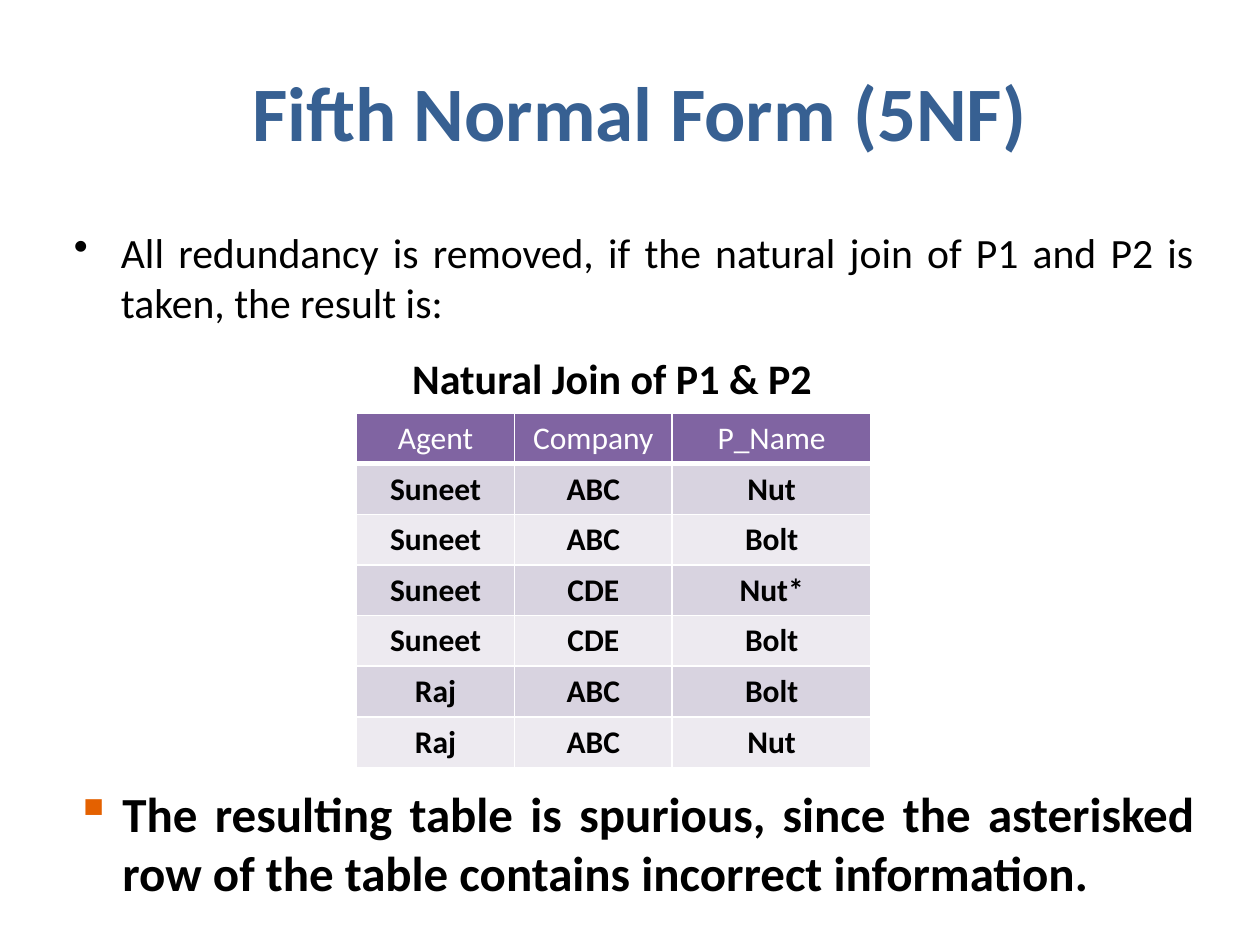
import pptx
import pptx.dml.color
import pptx.enum.text
import pptx.oxml.ns
import pptx.util
from lxml import etree

Cm = pptx.util.Cm
Pt = pptx.util.Pt
RGBColor = pptx.dml.color.RGBColor
ALIGN = pptx.enum.text.PP_ALIGN
ANCHOR = pptx.enum.text.MSO_ANCHOR
qn = pptx.oxml.ns.qn

BLUE = RGBColor(0x37, 0x60, 0x92)
BLACK = RGBColor(0, 0, 0)
WHITE = RGBColor(0xFF, 0xFF, 0xFF)
ORANGE = RGBColor(0xE4, 0x61, 0x00)
PURPLE = RGBColor(0x80, 0x64, 0xA2)
LILAC = RGBColor(0xD8, 0xD3, 0xE0)
PALE_LILAC = RGBColor(0xED, 0xEA, 0xF0)


def write(paragraph, text, size, color, bold, align):
    paragraph.alignment = align
    run = paragraph.add_run()
    run.text = text
    run.font.name = "Calibri"
    run.font.size = Pt(size)
    run.font.bold = bold
    run.font.color.rgb = color


prs = pptx.Presentation()
prs.slide_width = Cm(25.4)
prs.slide_height = Cm(19.05)
slide = prs.slides.add_slide(prs.slide_layouts[6])

passages = [
    ("Fifth Normal Form (5NF)", (1.47, 0.64, 22.86, 3.18),
     44, BLUE, True, ALIGN.CENTER, ANCHOR.MIDDLE, None, None),
    ("All redundancy is removed, if the natural join of P1 and P2 is taken, the result is:",
     (1.24, 4.45, 23.06, 1.9),
     23.8, BLACK, False, ALIGN.JUSTIFY, ANCHOR.TOP, "•", BLACK),
    ("Natural Join of P1 & P2", (7.26, 6.99, 10.16, 1.32),
     24, BLACK, True, ALIGN.CENTER, ANCHOR.TOP, None, None),
    ("The resulting table is spurious, since the asterisked row of the table "
     "contains incorrect information.", (1.27, 15.67, 23.06, 1.9),
     28, BLACK, True, ALIGN.JUSTIFY, ANCHOR.TOP, "▪", ORANGE),
]
for text, place, size, color, bold, align, anchor, bullet, bullet_color in passages:
    frame = slide.shapes.add_textbox(*[Cm(length) for length in place]).text_frame
    frame.word_wrap = True
    frame.vertical_anchor = anchor
    paragraph = frame.paragraphs[0]
    write(paragraph, text, size, color, bold, align)
    if bullet:
        properties = paragraph._p.get_or_add_pPr()
        properties.set("marL", str(Cm(0.95)))
        properties.set("indent", str(-Cm(0.95)))
        tint = etree.SubElement(properties, qn("a:buClr"))
        etree.SubElement(tint, qn("a:srgbClr"), val=str(bullet_color))
        etree.SubElement(properties, qn("a:buChar"), char=bullet)

join_rows = [
    ("Agent", "Company", "P_Name"),
    ("Suneet", "ABC", "Nut"),
    ("Suneet", "ABC", "Bolt"),
    ("Suneet", "CDE", "Nut*"),
    ("Suneet", "CDE", "Bolt"),
    ("Raj", "ABC", "Bolt"),
    ("Raj", "ABC", "Nut"),
]
column_widths = [3.18, 3.18, 4.01]
row_height = 1.02
join_table = slide.shapes.add_table(
    len(join_rows), len(column_widths), Cm(7.19), Cm(8.33),
    Cm(sum(column_widths)), Cm(row_height * len(join_rows))).table
for column, width in zip(join_table.columns, column_widths):
    column.width = Cm(width)

for r, values in enumerate(join_rows):
    join_table.rows[r].height = Cm(row_height)
    header = r == 0
    fill = PURPLE if header else (LILAC if r % 2 else PALE_LILAC)
    for c, value in enumerate(values):
        cell = join_table.cell(r, c)
        write(cell.text_frame.paragraphs[0], value, 18,
              WHITE if header else BLACK, not header, ALIGN.CENTER)
        borders = cell._tc.get_or_add_tcPr()
        for side in ("a:lnL", "a:lnR", "a:lnT", "a:lnB"):
            weight = 3 if header and side == "a:lnB" else 1
            line = etree.SubElement(borders, qn(side), w=str(Pt(weight)))
            paint = etree.SubElement(line, qn("a:solidFill"))
            etree.SubElement(paint, qn("a:srgbClr"), val=str(WHITE))
        cell.fill.solid()
        cell.fill.fore_color.rgb = fill

prs.save("out.pptx")
